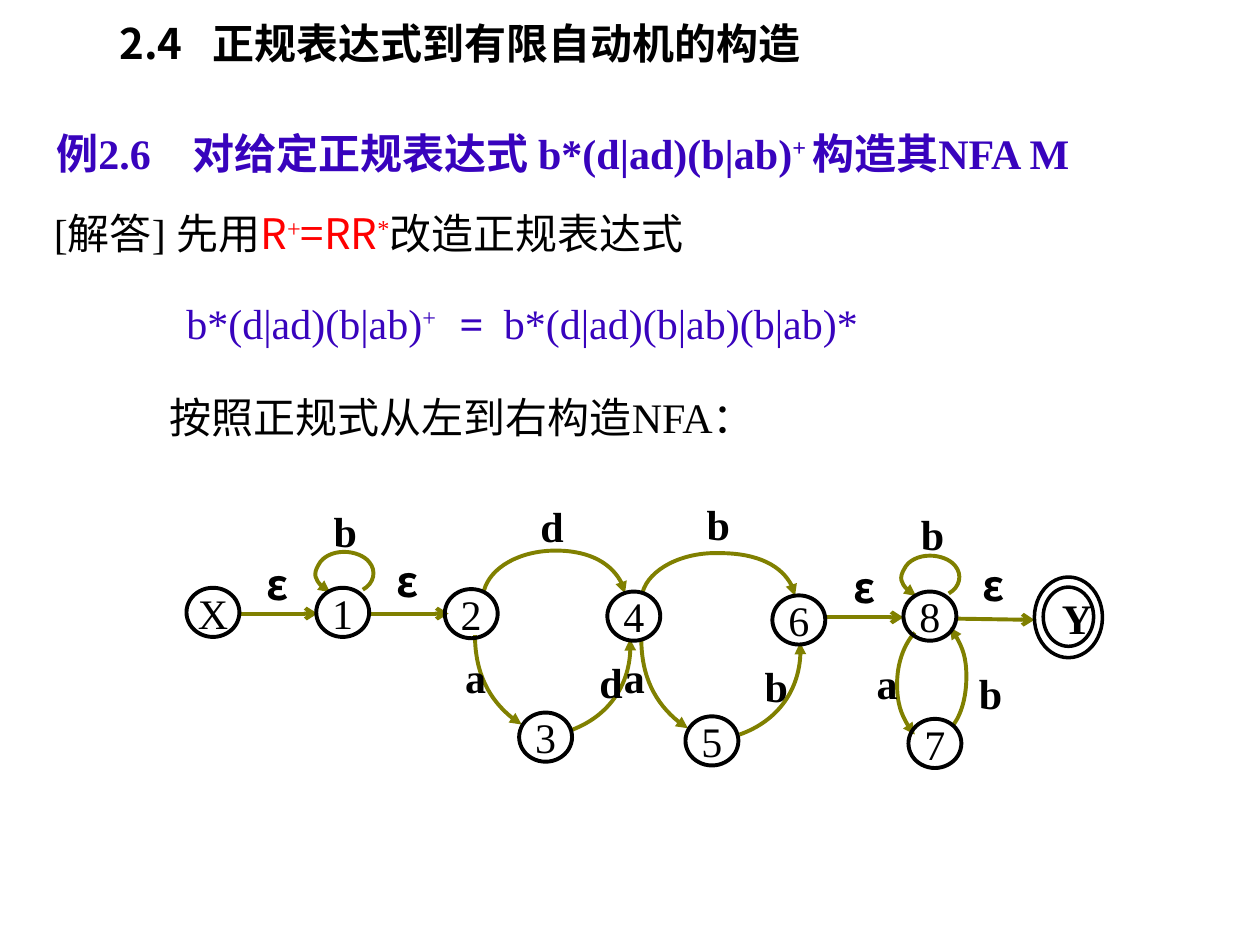
from lxml import etree
from pptx import Presentation
from pptx import util as u
from pptx.dml.color import RGBColor
from pptx.enum import shapes, text
from pptx.oxml.ns import qn

PX = 9144  # EMU in one px, 100 px to the inch
SERIF, SANS = "Times New Roman", "Noto Sans CJK SC"
BLACK, VIOLET, RED, OLIVE = "000000", "3803BD", "FF0000", "808000"

# States: centre of each circle
STATES = {
    "X": (169, 486), "1": (272, 486), "2": (374, 487), "3": (433, 585),
    "4": (503, 489), "5": (565, 588), "6": (634, 492), "7": (742, 590),
    "8": (738, 489),
}
STATE_W, STATE_H = 42, 39

# Transitions without a bend, from left to right
STRAIGHT = [
    (189, 487, 252, 487), (294, 487, 356, 487),
    (655, 490, 717, 490), (759, 491, 821, 492),
]

# Bent transitions: a start, then three points for each Bézier piece
SELF_LOOP = [(288, 468), (297, 463), (299, 453), (293, 446),
             (289, 441), (281, 438), (273, 438),
             (264, 438), (256, 442), (253, 448),
             (248, 456), (252, 465), (262, 470)]
DOWN = [(377, 504), (377, 534), (391, 561), (414, 575)]
UP = [(452, 580), (483, 569), (503, 539), (500, 507)]
OVER_2_4 = [(384, 469), (389, 450), (413, 437), (441, 437),
            (469, 437), (493, 452), (496, 471)]
OVER_4_6 = [(510, 470), (515, 452), (541, 438), (571, 439),
            (602, 439), (628, 453), (631, 473)]
FROM_8_TO_7 = [(726, 502), (717, 512), (712, 527), (712, 543),
               (712, 558), (717, 573), (726, 583)]
FROM_7_TO_8 = [(757, 575), (764, 565), (767, 551), (767, 537),
               (767, 522), (762, 508), (754, 498)]

# Transition labels: symbol, left, top, width
SYMBOLS = [
    ("b", 255, 396, 37), ("ε", 198, 438, 45), ("ε", 301, 436, 45),
    ("a", 359, 512, 37), ("d", 419, 392, 37), ("d", 466, 516, 34),
    ("a", 485, 512, 37), ("b", 551, 391, 37), ("b", 597, 519, 34),
    ("b", 767, 525, 31), ("a", 686, 517, 34), ("b", 721, 399, 37),
    ("ε", 664, 441, 45), ("ε", 766, 439, 45), ("Y", 833, 465, 31),
]


def px(*lengths):
    return [u.Emu(round(length * PX)) for length in lengths]


def rgb(hex_colour):
    return RGBColor.from_string(hex_colour)


def set_font(font, name=None, colour=None, bold=None, raised=False, size=None):
    if size:
        font.size = u.Pt(size)
    if bold is not None:
        font.bold = bold
    if colour:
        font.color.rgb = rgb(colour)
    if name:
        font.name = name
        etree.SubElement(font._rPr, qn("a:ea"), typeface=SANS)
    if raised:
        font._rPr.set("baseline", "30000")


def add_tabs(paragraph, stops):
    tab_list = etree.SubElement(paragraph._p.get_or_add_pPr(), qn("a:tabLst"))
    for stop in stops:
        etree.SubElement(tab_list, qn("a:tab"), pos=str(stop * PX), algn="l")


def add_text(slide, box, runs, font=SERIF, colour=BLACK, bold=False,
             spacing=None, tabs=(), middle=False, centred=False):
    """Each run is its wording and the font settings that it changes."""
    frame = slide.shapes.add_textbox(*px(*box)).text_frame
    frame.word_wrap = True
    if middle:
        frame.vertical_anchor = text.MSO_ANCHOR.MIDDLE
    line = frame.paragraphs[0]
    if centred:
        line.alignment = text.PP_ALIGN.CENTER
    if spacing:
        line.line_spacing = spacing
    if tabs:
        add_tabs(line, tabs)
    set_font(line.font, font, colour, bold, size=24)
    for wording, changes in runs:
        run = line.add_run()
        run.text = wording
        set_font(run.font, **changes)


def add_circle(slide, box, weight):
    circle = slide.shapes.add_shape(shapes.MSO_SHAPE.OVAL, *px(*box))
    circle.shadow.inherit = False
    circle.fill.background()
    circle.line.color.rgb = rgb(BLACK)
    circle.line.width = u.Pt(weight)
    return circle


def add_state(slide, name, centre):
    x, y = centre
    box = (x - STATE_W / 2, y - STATE_H / 2, STATE_W, STATE_H)
    frame = add_circle(slide, box, 2.25).text_frame
    frame.margin_left = frame.margin_right = 0
    frame.margin_top = frame.margin_bottom = 0
    frame.word_wrap = False
    frame.vertical_anchor = text.MSO_ANCHOR.MIDDLE
    label = frame.paragraphs[0]
    label.alignment = text.PP_ALIGN.CENTER
    set_font(label.font, SERIF, BLACK, size=24)
    label.add_run().text = name


def style_arrow(arrow, head):
    arrow.line.color.rgb = rgb(OLIVE)
    arrow.line.width = u.Pt(2.25)
    etree.SubElement(arrow.line._get_or_add_ln(), qn("a:tailEnd"), type=head)


def add_straight(slide, ends):
    arrow = slide.shapes.add_connector(shapes.MSO_CONNECTOR.STRAIGHT, *px(*ends))
    style_arrow(arrow, "arrow")
    etree.SubElement(arrow._element.spPr, qn("a:effectLst"))


def add_curve(slide, points, dx=0, dy=0):
    start, *rest = [(x + dx, y + dy) for x, y in points]
    builder = slide.shapes.build_freeform(*start, scale=PX)
    builder.add_line_segments(rest, close=False)
    arrow = builder.convert_to_shape()
    arrow.shadow.inherit = False
    arrow.fill.background()
    style_arrow(arrow, "triangle")
    # Join every three points into one Bézier piece
    segments = list(arrow._element.iter(qn("a:lnTo")))
    outline = segments[0].getparent()
    for i in range(0, len(segments), 3):
        piece = etree.SubElement(outline, qn("a:cubicBezTo"))
        for segment in segments[i:i + 3]:
            piece.append(segment[0])
            outline.remove(segment)


def add_explanation(slide):
    raised = {"raised": True}
    add_text(slide, (85, 0, 709, 68), [("2.4\t正规表达式到有限自动机的构造", {})],
             font=SANS, bold=True, tabs=[74], middle=True)
    add_text(slide, (35, 61, 937, 80),
             [("例2.6\t对给定正规表达式 b*(d|ad)(b|ab)", {}), ("+ ", raised),
              ("构造其NFA M", {})],
             colour=VIOLET, bold=True, spacing=2, tabs=[108], middle=True)
    add_text(slide, (33, 140, 943, 70),
             [("[解答] ", {}), ("先用", {"name": SANS}),
              ("R", {"name": SANS, "colour": RED}),
              ("+", {"colour": RED, "raised": True}),
              ("=RR", {"name": SANS, "colour": RED}),
              ("*", {"colour": RED, "raised": True}),
              ("改造正规表达式", {"name": SANS})], spacing=1.5)
    add_text(slide, (138, 211, 835, 70),
             [("b*(d|ad)(b|ab)", {}), ("+", raised), ("\t=\t", {"bold": True}),
              ("b*(d|ad)(b|ab)(b|ab)*", {})],
             colour=VIOLET, spacing=1.5, tabs=[217, 252])
    add_text(slide, (125, 306, 502, 50), [("按照正规式从左到右构造NFA：", {})])


def add_automaton(slide):
    # Transitions
    for ends in STRAIGHT:
        add_straight(slide, ends)
    for dx in (0, 465):
        add_curve(slide, SELF_LOOP, dx, dx and 3)
    for dx, over in ((0, OVER_2_4), (132, OVER_4_6)):
        add_curve(slide, over)
        add_curve(slide, DOWN, dx, dx and 3)
        add_curve(slide, UP, dx + (3 if dx else 0), dx and 3)
    add_curve(slide, FROM_8_TO_7)
    add_curve(slide, FROM_7_TO_8)
    # States, with a double ring for the final one
    for name, centre in STATES.items():
        add_state(slide, name, centre)
    for ring in ((821, 458, 54, 64), (828, 466, 40, 47)):
        add_circle(slide, ring, 2)
    # Symbols
    for symbol, left, top, width in SYMBOLS:
        add_text(slide, (left, top, width, 50), [(symbol, {})], bold=True,
                 font=SANS if symbol == "ε" else SERIF, centred=True)


def main():
    deck = Presentation()
    deck.slide_width, deck.slide_height = px(1000, 750)
    slide = deck.slides.add_slide(deck.slide_layouts[6])
    add_explanation(slide)
    add_automaton(slide)
    deck.save("out.pptx")


if __name__ == "__main__":
    main()
